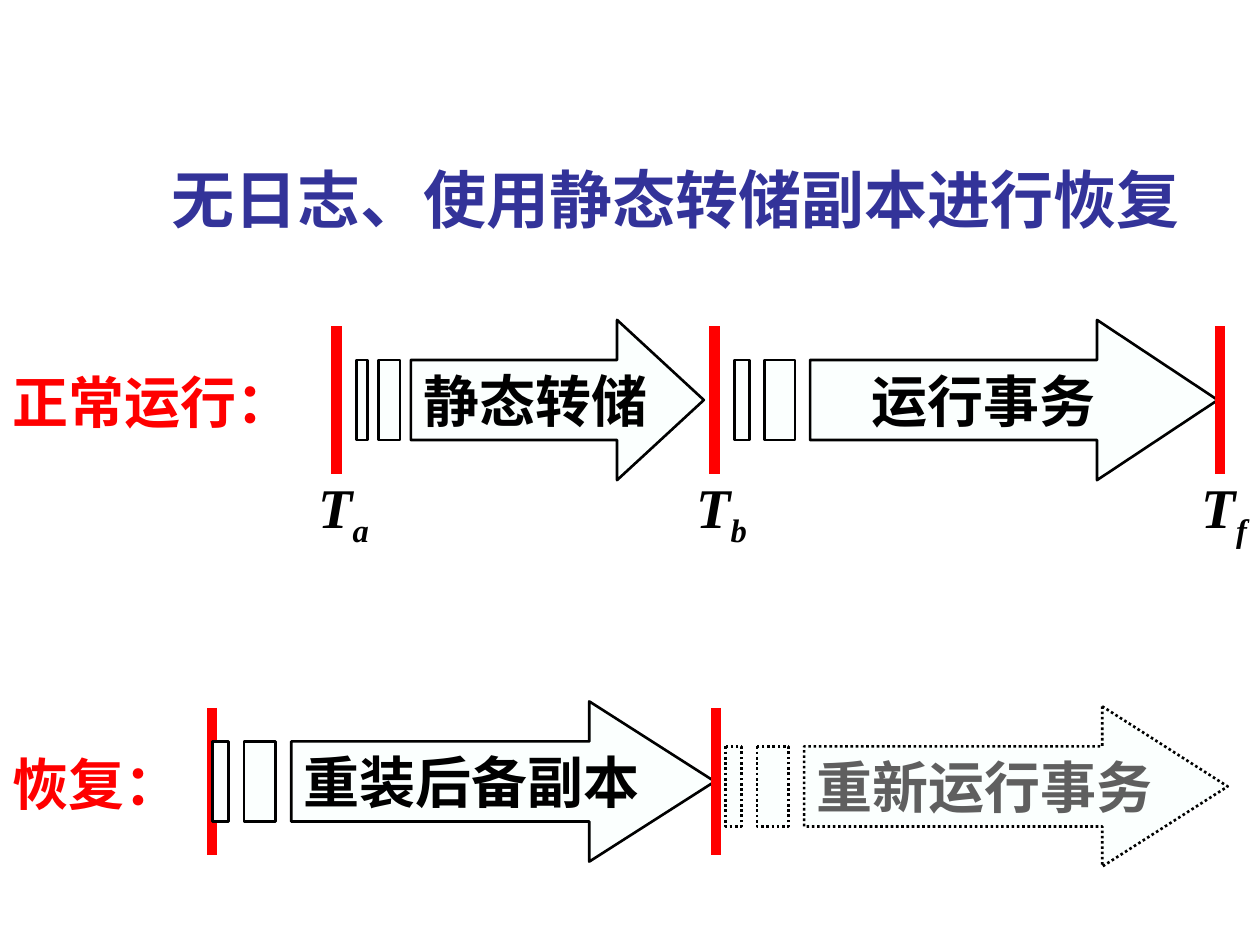
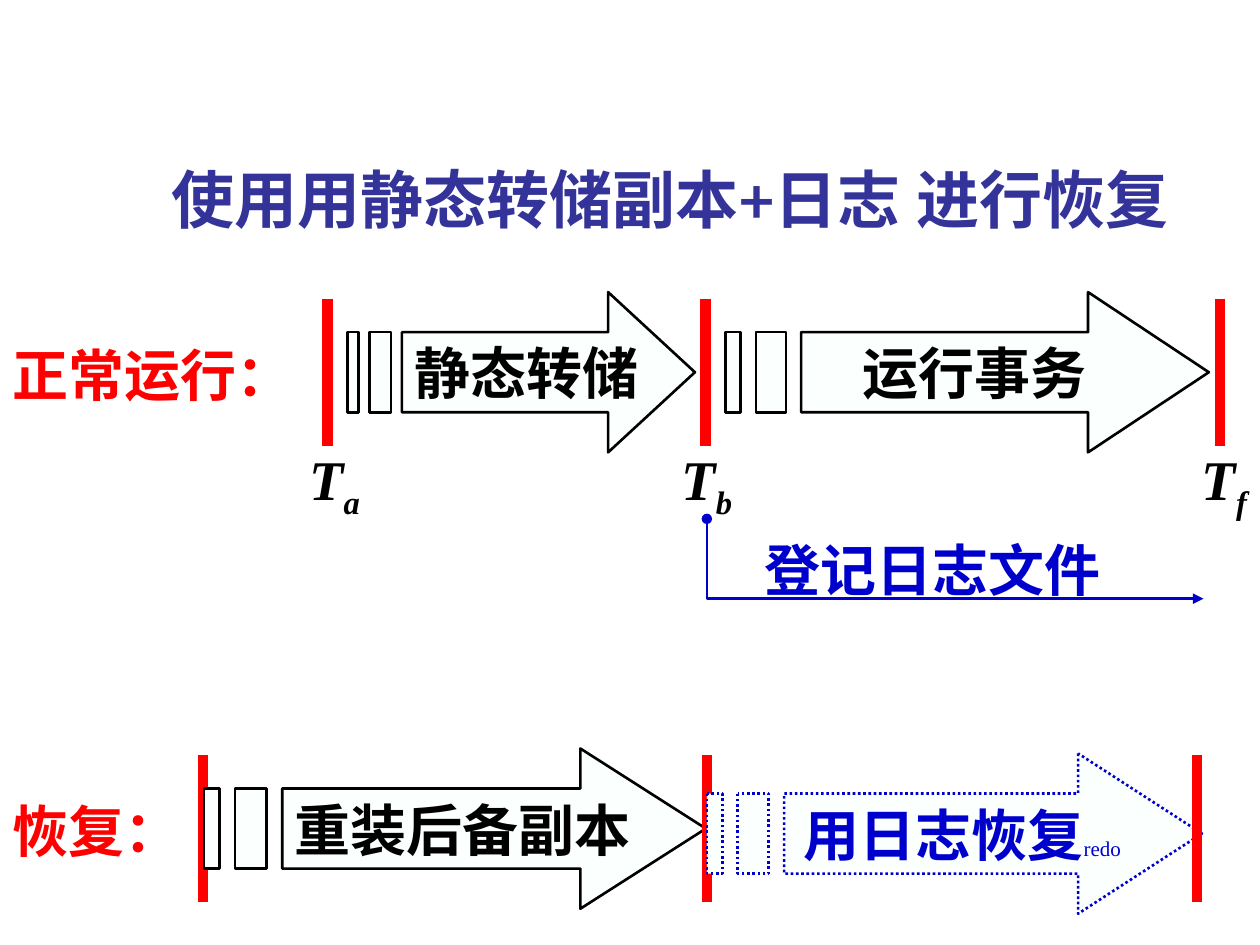
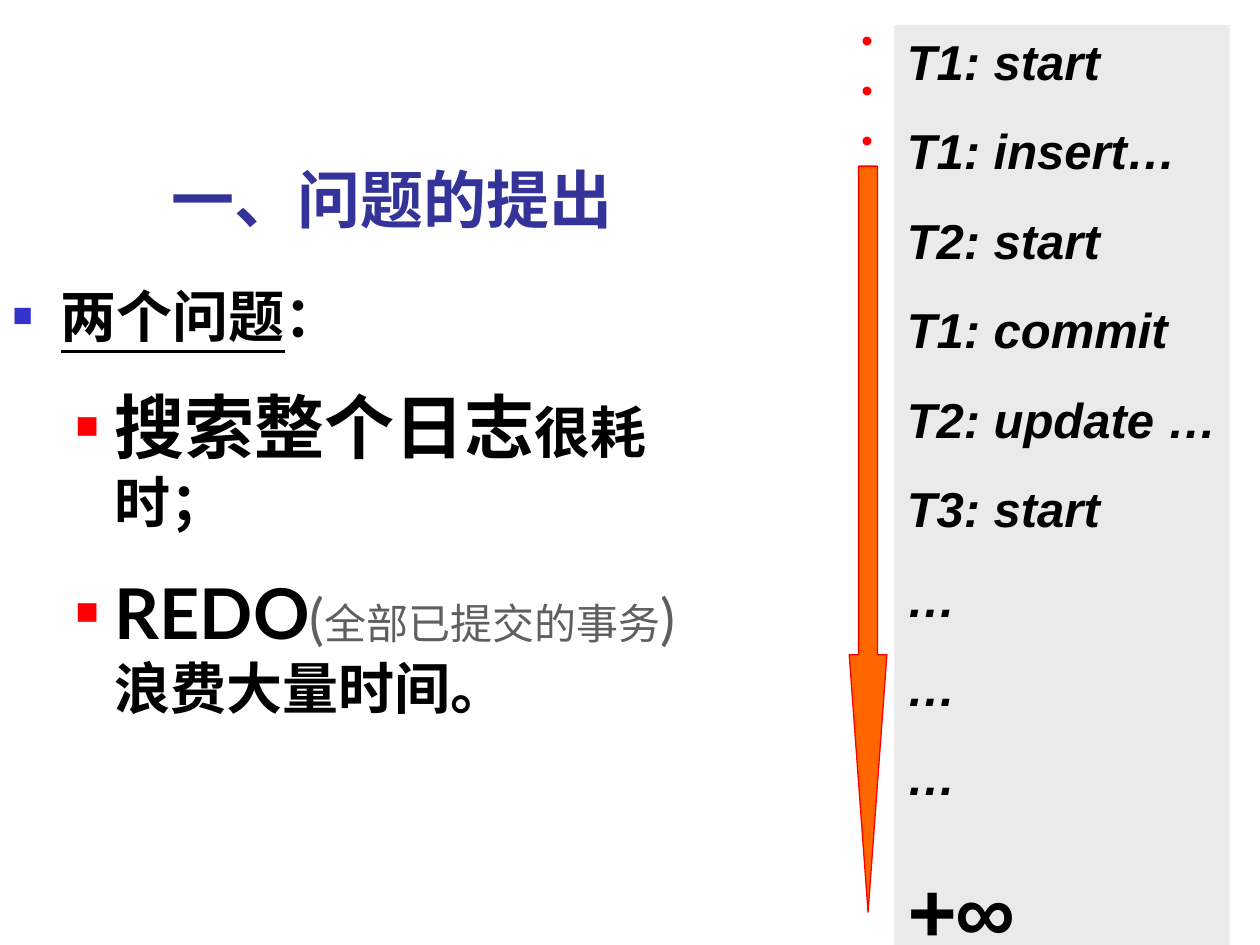
import itertools

import pptx
import pptx.dml.color
import pptx.enum.dml
import pptx.enum.shapes
import pptx.enum.text
import pptx.oxml
import pptx.oxml.ns
import pptx.util

Cm, Pt = pptx.util.Cm, pptx.util.Pt
RGB = pptx.dml.color.RGBColor.from_string
MSO = pptx.enum.shapes.MSO_SHAPE
LINE = pptx.enum.shapes.MSO_CONNECTOR
ANCHOR = pptx.enum.text.MSO_ANCHOR
ALIGN = pptx.enum.text.PP_ALIGN
FIT = pptx.enum.text.MSO_AUTO_SIZE
qn = pptx.oxml.ns.qn
NS = pptx.oxml.ns.nsdecls("a")

COLORS = {
    "title": "333399", "text": "000000", "grey": "5F5F5F", "red": "FF0000",
    "blue": "0000CC", "bullet": "3333CC", "arrow": "FBFFFE",
    "panel": "EAEAEA", "orange": "FF6600",
}
SERIF, SANS, CJK = "Times New Roman", "Lato", "Noto Sans CJK SC"
ARROW_H, MARK_H, MARK_DY = 3.23, 2.97, 0.13


def style_run(r, size, color="text", font=SERIF, bold=True, italic=False):
    r.font.name = font
    r.font.size = Pt(size)
    r.font.bold = bold
    r.font.italic = italic
    r.font.color.rgb = RGB(COLORS[color])
    ea = pptx.oxml.parse_xml(f'<a:ea {NS} typeface="{SANS}"/>')
    r.font._element.find(qn("a:latin")).addnext(ea)


def add_label(slide, x, y, w, h, text, size, color="text", font=SERIF, italic=False):
    sp = slide.shapes.add_textbox(Cm(x), Cm(y), Cm(w), Cm(h))
    tf = sp.text_frame
    tf.word_wrap = False
    tf.auto_size = FIT.SHAPE_TO_FIT_TEXT
    tf.text = text
    style_run(tf.paragraphs[0].runs[0], size, color, font, italic=italic)
    return tf


prs = pptx.Presentation()
prs.slide_width, prs.slide_height = Cm(25.4), Cm(19.05)

# Titles
titles = [
    ("无日志、使用静态转储副本进行恢复", 5),
    ("使用用静态转储副本+日志 进行恢复", 5),
    ("一、问题的提出", 1),
]
for text, layout in titles:
    slide = prs.slides.add_slide(prs.slide_layouts[layout])
    sp = slide.shapes.title
    sp.left, sp.top, sp.width, sp.height = Cm(3.2), Cm(1.7), Cm(21.64), Cm(3.18)
    tf = sp.text_frame
    tf.text = text
    tf.vertical_anchor = ANCHOR.BOTTOM
    tf.auto_size = FIT.NONE
    p = tf.paragraphs[0]
    p.alignment = ALIGN.LEFT
    style_run(p.runs[0], 36, "title", SANS)

# Timelines: slide, row label, label width, row top, time marks, arrows
# Arrow: x, width, drop, line colour, text colour, dotted, text runs
timelines = [
    (0, "正常运行：", 6.15, 6.45, [6.78, 14.4, 24.59], [
        (7.19, 7, 0, "text", "text", False, [("静态转储", 32)]),
        (14.81, 9.74, 0, "text", "text", False, [("运行事务", 32)])]),
    (0, "恢复：", 3.89, 14.14, [4.27, 14.43], [
        (4.29, 10.12, 0, "text", "text", False, [("重装后备副本", 32)]),
        (14.63, 10.12, 0.1, "text", "grey", True, [("重新运行事务", 32)])]),
    (1, "正常运行：", 6.15, 5.89, [6.6, 14.22, 24.59], [
        (7.01, 7, 0, "text", "text", False, [("静态转储", 32)]),
        (14.63, 9.74, 0, "text", "text", False, [("运行事务", 32)])]),
    (1, "恢复：", 3.89, 15.09, [4.09, 14.25, 24.13], [
        (4.11, 10.12, 0, "text", "text", False, [("重装后备副本", 32)]),
        (14.25, 9.98, 0.1, "blue", "blue", True, [("用日志恢复", 32), ("redo", 12)])]),
]
for number, label, label_w, top, marks, arrows in timelines:
    slide = prs.slides[number]
    add_label(slide, 0, top + 0.84, label_w, 1.62, label, 32, "red", CJK)
    for mark, arrow in itertools.zip_longest(marks, arrows):
        if mark:
            y = top + MARK_DY
            c = slide.shapes.add_connector(LINE.STRAIGHT, Cm(mark), Cm(y), Cm(mark), Cm(y + MARK_H))
            c.line.color.rgb = RGB(COLORS["red"])
            c.line.width = Pt(6)
            c._element.spPr.append(pptx.oxml.parse_xml(f"<a:effectLst {NS}/>"))
        if not arrow:
            continue

        # Striped arrow: two tail bars and a body, in 32nds of the width
        x, w, drop, line, color, dotted, runs = arrow
        y = top + drop
        outlines = [
            [(24, 0), (24, 0.25), (5, 0.25), (5, 0.75), (24, 0.75), (24, 1), (32, 0.5)],
            [(2, 0.25), (2, 0.75), (4, 0.75), (4, 0.25)],
            [(0, 0.25), (0, 0.75), (1, 0.75), (1, 0.25)],
        ]
        outlines = [[(Cm(x + w * u / 32), Cm(y + ARROW_H * v)) for u, v in outline]
                    for outline in outlines]
        fb = slide.shapes.build_freeform(*outlines[0][0])
        fb.add_line_segments(outlines[0][1:], close=True)
        for outline in outlines[1:]:
            fb.move_to(*outline[0])
            fb.add_line_segments(outline[1:], close=True)
        sp = fb.convert_to_shape()
        sp.shadow.inherit = False
        sp.fill.solid()
        sp.fill.fore_color.rgb = RGB(COLORS["arrow"])
        sp.line.color.rgb = RGB(COLORS[line])
        sp.line.width = Pt(1.5)
        if dotted:
            sp.line.dash_style = pptx.enum.dml.MSO_LINE.ROUND_DOT
        tf = sp.text_frame
        tf.word_wrap = False
        tf.margin_left = Cm(0.25 + w / 32)
        tf.vertical_anchor = ANCHOR.MIDDLE
        p = tf.paragraphs[0]
        p.alignment = ALIGN.CENTER
        for text, size in runs:
            r = p.add_run()
            r.text = text
            style_run(r, size, color, bold=size > 12)

# Time labels with subscripts
for number, y, xs in [(0, 9.4, (6.17, 13.79, 23.98)), (1, 8.84, (5.99, 13.49, 23.98))]:
    for x, w, sub in zip(xs, (1.52, 1.52, 1.4), "abf"):
        tf = add_label(prs.slides[number], x, y, w, 1.8, "T", 32, italic=True)
        tf.word_wrap = True
        tf.auto_size = FIT.NONE
        tf.margin_right = 0
        r = tf.paragraphs[0].add_run()
        r.text = sub
        style_run(r, 32, italic=True)
        r.font._element.set("baseline", "-25000")

# Log recording line, down and then right
slide = prs.slides[1]
x1, y1, x2, y2 = 14.25, 10.46, 24.26, 12.07
c = slide.shapes.add_connector(LINE.ELBOW, Cm(x1), Cm(y1), Cm(x2), Cm(y2))
w, h = y2 - y1, x2 - x1
c.left, c.top = Cm((x1 + x2 - w) / 2), Cm((y1 + y2 - h) / 2)
c.width, c.height = Cm(w), Cm(h)
spPr = c._element.spPr
spPr.find(qn("a:prstGeom")).set("prst", "bentConnector2")
xfrm = spPr.find(qn("a:xfrm"))
xfrm.set("rot", "16200000")
xfrm.set("flipH", "1")
c.line.color.rgb = RGB(COLORS["blue"])
c.line.width = Pt(1.5)
for tag, kind in [("headEnd", "oval"), ("tailEnd", "triangle")]:
    spPr.find(qn("a:ln")).append(pptx.oxml.parse_xml(f'<a:{tag} {NS} type="{kind}"/>'))
spPr.append(pptx.oxml.parse_xml(f"<a:effectLst {NS}/>"))
add_label(slide, 15.16, 10.67, 7.29, 1.62, "登记日志文件", 32, "blue")

# Two problems: run is text, size, colour, bold
slide = prs.slides[2]
sp = slide.placeholders[1]
sp.left, sp.top, sp.width, sp.height = Cm(0), Cm(5.54), Cm(15.09), Cm(11.43)
tf = sp.text_frame
tf.auto_size = FIT.NONE
tf.margin_right = Cm(0.7)
items = [
    (0, [("两个问题", 32, "text", True), ("：", 32, "text", True)]),
    (1, [("搜索整个日志", 40, "text", True), ("很耗时；", 32, "text", True)]),
    (1, [("REDO", 40, "text", True), ("(", 32, "grey", False),
         ("全部已提交的事务", 24, "grey", False), (")", 32, "grey", False),
         ("浪费大量时间。", 32, "text", True)]),
]
bullets = [(0.97, -0.97, "bullet", 60), (2.06, -0.79, "red", 55)]
for i, (level, runs) in enumerate(items):
    p = tf.add_paragraph() if i else tf.paragraphs[0]
    p.level = level
    margin, indent, color, percent = bullets[level]
    pPr = p._p.get_or_add_pPr()
    pPr.set("marL", str(Cm(margin)))
    pPr.set("indent", str(Cm(indent)))
    pPr.set("hangingPunct", "0")
    for xml in (f'<a:buClr {NS}><a:srgbClr val="{COLORS[color]}"/></a:buClr>',
                f'<a:buSzPct {NS} val="{percent}000"/>',
                f'<a:buFont {NS} typeface="Arial"/>',
                f'<a:buChar {NS} char="■"/>'):
        pPr.append(pptx.oxml.parse_xml(xml))
    p.space_before = Pt(20 if i else 0)
    for text, size, color, bold in runs:
        r = p.add_run()
        r.text = text
        style_run(r, size, color, SANS, bold)
tf.paragraphs[0].runs[0].font.underline = True

# Log panel
sp = slide.shapes.add_shape(MSO.RECTANGLE, Cm(18.03), Cm(0.51), Cm(6.76), Cm(18.95))
sp.shadow.inherit = False
sp.fill.solid()
sp.fill.fore_color.rgb = RGB(COLORS["panel"])
sp.line.fill.background()
tf = sp.text_frame
tf.word_wrap = False
tf.vertical_anchor = ANCHOR.TOP
entries = ["T1: start", "T1: insert…", "T2: start", "T1: commit", "T2: update …",
           "T3: start", "…", "…", "…", "+"]
tf.text = "\n".join(entries)
for i, p in enumerate(tf.paragraphs):
    p.alignment = ALIGN.LEFT
    p.space_before = Pt(17.5 if i else 0)
    style_run(p.runs[0], 28, font="Arial", italic=True)
p.space_before = Pt(30)
p.runs[0].font.size = Pt(48)
r = p.add_run()
r.text = "∞"
style_run(r, 48, font="Arial")

# Time arrow and dots
sp = slide.shapes.add_shape(MSO.DOWN_ARROW, Cm(17.12), Cm(3.35), Cm(0.76), Cm(15.04))
sp.adjustments[0], sp.adjustments[1] = 0.5, 6.83
sp.shadow.inherit = False
sp.fill.solid()
sp.fill.fore_color.rgb = RGB(COLORS["orange"])
sp.line.color.rgb = RGB(COLORS["red"])
sp.line.width = Pt(0.75)
tf = add_label(slide, 16.81, 0.18, 1.6, 2.29, "···", 24, "red", CJK)
tf.word_wrap = True
tf.paragraphs[0].runs[0].font.bold = False

prs.save("out.pptx")
